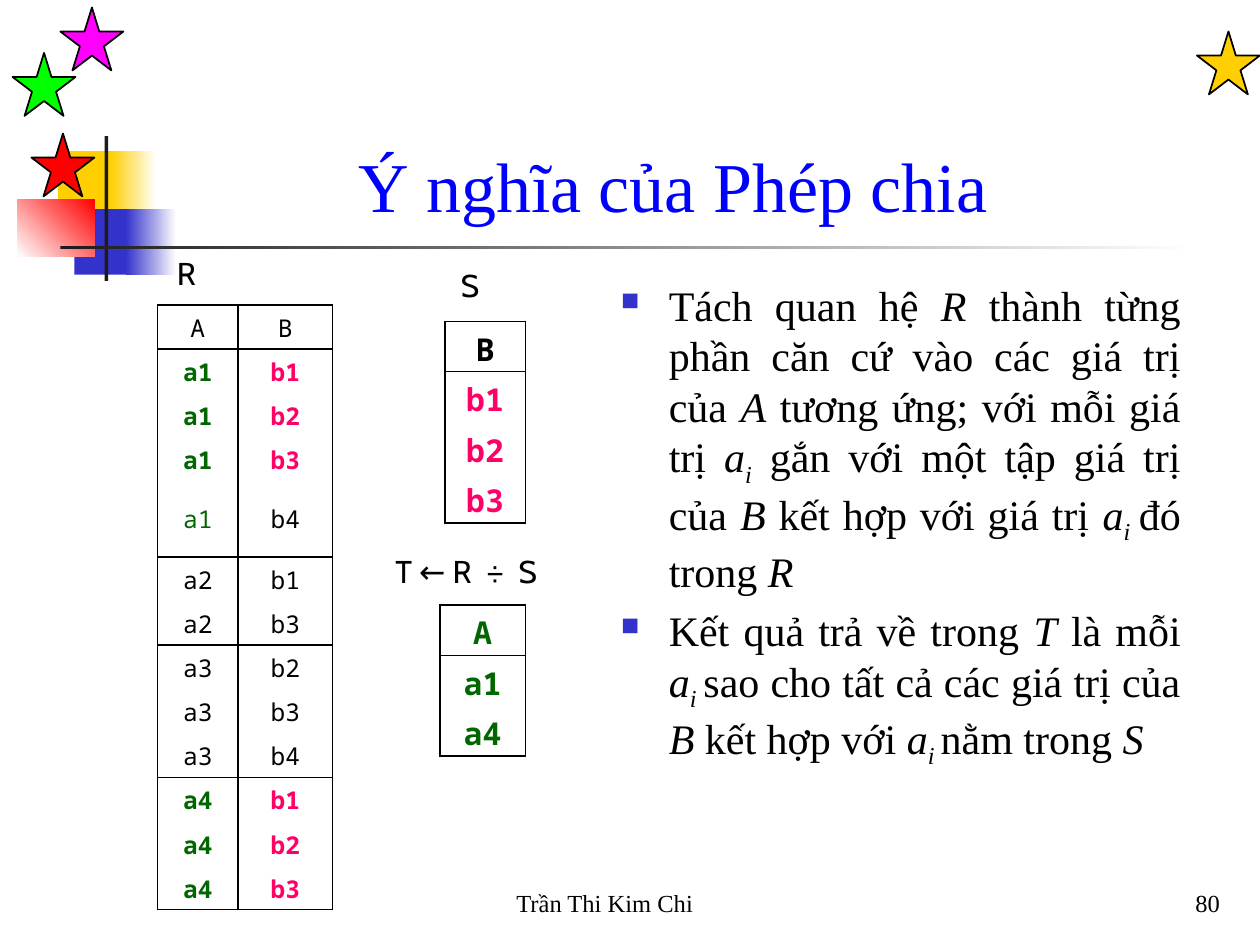
from lxml import etree
from pptx import Presentation, util as u
from pptx.dml.color import RGBColor
from pptx.enum import shapes, text
from pptx.oxml.ns import qn

COLORS = {
    "white": "FFFFFF", "black": "000000", "ink": "1C1C1C", "gold": "FFCF01",
    "indigo": "3333CC", "red": "FF0000", "lime": "00FF00", "magenta": "FF00FF",
    "title": "0000FF", "green": "006600", "pink": "FF0066",
}
SERIF, MONO, LABEL = "Times New Roman", "Noto Sans Mono", "Cabin"
ALIGN = text.PP_ALIGN

TITLE = "Ý nghĩa của Phép chia"
BANDS = [
    ((0.46, 1.2, 0.48, 0.52), ["gold"], 0),
    ((0.88, 1.2, 0.36, 0.52), ["gold", "white"], 0),
    ((0.59, 1.66, 0.46, 0.52), ["indigo"], 0),
    ((1, 1.66, 0.4, 0.52), ["indigo", "white"], 0),
    ((0.14, 1.58, 0.61, 0.46), ["white", "red"], 45),
    ((0.83, 1.08, 0.03, 1.15), ["ink"], 0),
    ((0.48, 1.95, 9, 0.03), ["ink", "white"], 0),
]
STAR_SIZE = 0.5
STARS = [(9.5, 0.25, "gold"), (0.25, 1.06, "red"), (0.1, 0.42, "lime"), (0.48, 0.06, "magenta")]

BODY_BOX = (4.83, 2.17, 4.64, 4.44)
BULLETS = [
    [("Tách quan hệ ", ""), ("R", "italic"),
     (" thành từng phần căn cứ vào các giá trị của ", ""), ("A", "italic"),
     (" tương ứng; với mỗi giá trị ", ""), ("a", "italic"), ("i", "sub"),
     (" gắn với một tập giá trị của ", ""), ("B", "italic"),
     (" kết hợp với giá trị ", ""), ("a", "italic"), ("i ", "sub"),
     ("đó trong ", ""), ("R", "italic")],
    [("Kết quả trả về trong ", ""), ("T", "italic"), (" là mỗi ", ""),
     ("a", "italic"), ("i ", "sub"), ("sao cho tất cả các giá trị của ", ""),
     ("B ", "italic"), ("kết hợp với ", ""), ("a", "italic"), ("i ", "sub"),
     ("nằm trong ", ""), ("S", "italic")],
]

PLAIN, GREEN, PINK = ("black", False), ("green", True), ("pink", True)
MATCH = [GREEN, PINK]
TABLES = [
    {"at": (1.25, 2.42), "columns": [0.64, 0.75], "row": 0.35, "tall": {4: 0.6}, "size": 14,
     "groups": [
         [(["A", "B"], [PLAIN, PLAIN])],
         [(["a1", "b1"], MATCH), (["a1", "b2"], MATCH), (["a1", "b3"], MATCH),
          (["a1", "b4"], [("green", False), PLAIN])],
         [(["a2", b], [PLAIN, PLAIN]) for b in ("b1", "b3")],
         [(["a3", b], [PLAIN, PLAIN]) for b in ("b2", "b3", "b4")],
         [(["a4", b], MATCH) for b in ("b1", "b2", "b3")],
     ]},
    {"at": (3.53, 2.55), "columns": [0.64], "row": 0.4, "tall": {}, "size": 18,
     "groups": [[(["B"], [("black", True)])], [([b], [PINK]) for b in ("b1", "b2", "b3")]]},
    {"at": (3.49, 4.8), "columns": [0.68], "row": 0.4, "tall": {}, "size": 18,
     "groups": [[(["A"], [GREEN])], [([a], [GREEN]) for a in ("a1", "a4")]]},
]

TEXTS = [
    ((1.3, 1.97, 0.36, 0.4), "R", 18, LABEL, ALIGN.CENTER, text.MSO_ANCHOR.TOP, False),
    ((3.56, 2.06, 0.34, 0.4), "S", 18, LABEL, ALIGN.CENTER, text.MSO_ANCHOR.TOP, False),
    ((2.93, 4.33, 1.54, 0.4), "T ← R  ÷  S", 18, LABEL, ALIGN.CENTER, text.MSO_ANCHOR.TOP, False),
    ((4, 6.83, 3.17, 0.5), "Trần Thi Kim Chi", 14, SERIF, ALIGN.LEFT, text.MSO_ANCHOR.BOTTOM, True),
    ((7.7, 6.83, 2.08, 0.5), "80", 14, SERIF, ALIGN.RIGHT, text.MSO_ANCHOR.BOTTOM, True),
]


def rgb(name):
    return RGBColor.from_string(COLORS[name])


def inches(box):
    return [u.Inches(value) for value in box]


def add_run(paragraph, words, size, font, color="black", bold=False, italic=False):
    run = paragraph.add_run()
    run.text = words
    run.font.size, run.font.name = u.Pt(size), font
    run.font.bold, run.font.italic = bold, italic
    run.font.color.rgb = rgb(color)
    return run


def add_figure(slide, kind, box, colors, angle=0, outlined=False):
    shape = slide.shapes.add_shape(kind, *inches(box))
    shape.shadow.inherit = False
    if len(colors) == 1:
        shape.fill.solid()
        shape.fill.fore_color.rgb = rgb(colors[0])
    else:
        shape.fill.gradient()
        shape.fill.gradient_angle = angle
        for stop, color in zip(shape.fill.gradient_stops, colors):
            stop.color.rgb = rgb(color)
    if outlined:
        shape.line.color.rgb = rgb("black")
        shape.line.width = u.Pt(1)
    else:
        shape.line.fill.background()


def set_borders(cell, visible):
    properties = cell._tc.get_or_add_tcPr()
    for index, side in enumerate("LRTB"):
        line = etree.Element(qn(f"a:ln{side}"), w=str(u.Pt(1)))
        if side in visible:
            fill = etree.SubElement(line, qn("a:solidFill"))
            etree.SubElement(fill, qn("a:srgbClr"), val=COLORS["black"])
        else:
            etree.SubElement(line, qn("a:noFill"))
        properties.insert(index, line)


def add_relation(slide, relation):
    groups = relation["groups"]
    columns = relation["columns"]
    count = sum(map(len, groups))
    heights = [relation["tall"].get(row, relation["row"]) for row in range(count)]
    box = (*relation["at"], sum(columns), sum(heights))
    table = slide.shapes.add_table(count, len(columns), *inches(box)).table
    table.first_row = table.horz_banding = False
    for column, width in zip(table.columns, columns):
        column.width = u.Inches(width)
    for row, height in zip(table.rows, heights):
        row.height = u.Inches(height)
    rows = iter(table.rows)
    for group in groups:
        for position, (values, styles) in enumerate(group):
            sides = "LR" + "T" * (position == 0) + "B" * (position == len(group) - 1)
            for cell, value, (color, bold) in zip(next(rows).cells, values, styles):
                cell.fill.solid()
                cell.fill.fore_color.rgb = rgb("white")
                cell.vertical_anchor = text.MSO_ANCHOR.MIDDLE
                paragraph = cell.text_frame.paragraphs[0]
                paragraph.alignment = ALIGN.CENTER
                add_run(paragraph, value, relation["size"], MONO, color, bold)
                set_borders(cell, sides)


def set_bullet(paragraph):
    properties = paragraph._p.get_or_add_pPr()
    properties.set("marL", str(u.Inches(0.38)))
    properties.set("indent", str(-u.Inches(0.38)))
    color = etree.SubElement(properties, qn("a:buClr"))
    etree.SubElement(color, qn("a:srgbClr"), val=COLORS["indigo"])
    etree.SubElement(properties, qn("a:buSzPct"), val="60000")
    etree.SubElement(properties, qn("a:buChar"), char="■")


def add_body(slide):
    frame = slide.shapes.add_textbox(*inches(BODY_BOX)).text_frame
    frame.word_wrap = True
    for index, pieces in enumerate(BULLETS):
        paragraph = frame.add_paragraph() if index else frame.paragraphs[0]
        paragraph.alignment = ALIGN.JUSTIFY
        paragraph.space_before = u.Pt(5)
        set_bullet(paragraph)
        for words, style in pieces:
            run = add_run(paragraph, words, 24, SERIF, italic=bool(style))
            if style == "sub":
                run._r.get_or_add_rPr().set("baseline", "-25000")


def main():
    presentation = Presentation()
    presentation.slide_width, presentation.slide_height = inches((10, 7.5))
    slide = presentation.slides.add_slide(presentation.slide_layouts[5])
    for box, colors, angle in BANDS:
        add_figure(slide, shapes.MSO_SHAPE.RECTANGLE, box, colors, angle)
    for left, top, color in STARS:
        add_figure(slide, shapes.MSO_SHAPE.STAR_5_POINT, (left, top, STAR_SIZE, STAR_SIZE),
                   [color], outlined=True)
    title = slide.shapes.title
    title.left, title.top, title.width, title.height = inches((1.08, 0.25, 8.52, 1.6))
    title.text_frame.vertical_anchor = text.MSO_ANCHOR.BOTTOM
    title.text_frame.paragraphs[0].alignment = ALIGN.CENTER
    add_run(title.text_frame.paragraphs[0], TITLE, 40, SERIF, "title")
    add_body(slide)
    for relation in TABLES:
        add_relation(slide, relation)
    for box, words, size, font, alignment, anchor, wrap in TEXTS:
        frame = slide.shapes.add_textbox(*inches(box)).text_frame
        frame.word_wrap, frame.vertical_anchor = wrap, anchor
        frame.paragraphs[0].alignment = alignment
        add_run(frame.paragraphs[0], words, size, font)
    presentation.save("out.pptx")


if __name__ == "__main__":
    main()
